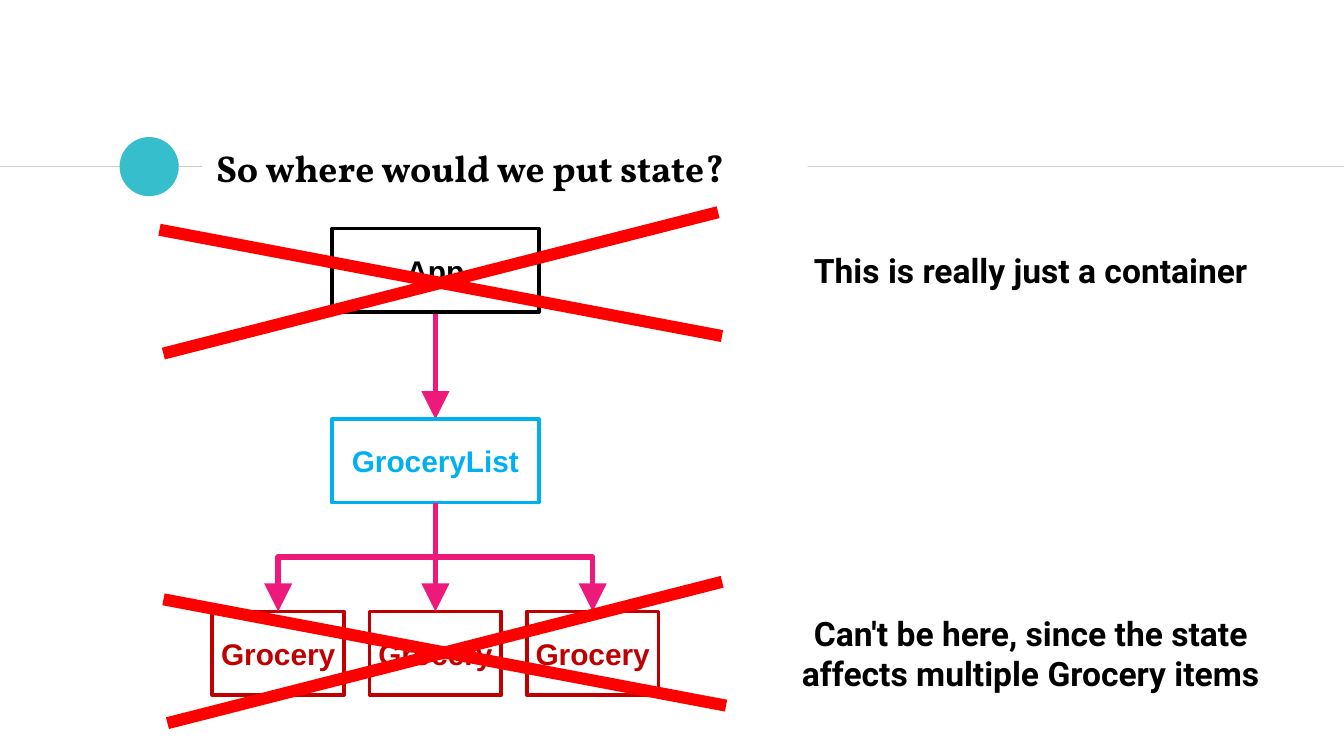
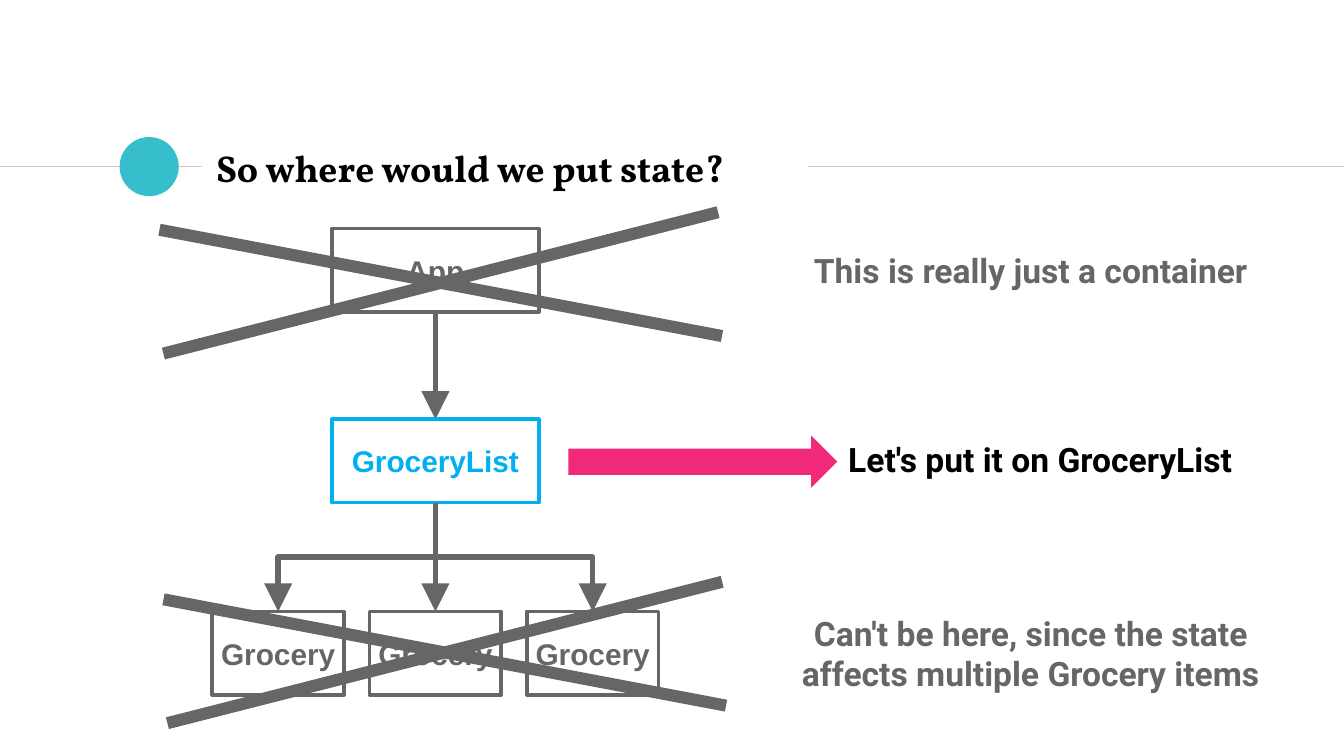
from dataclasses import dataclass

from lxml import etree
from pptx import Presentation
from pptx.dml.color import RGBColor
from pptx.enum.shapes import MSO_CONNECTOR as Link, MSO_SHAPE as Preset
from pptx.enum.text import MSO_ANCHOR as Anchor, PP_ALIGN as Align
from pptx.oxml.ns import qn
from pptx.util import Inches, Pt


@dataclass(frozen=True)
class Theme:
    ink: str = "000000"
    paper: str = "FFFFFF"
    rule: str = "CCCCCC"
    teal: str = "37BECC"
    blue: str = "00B0F0"
    dark_red: str = "C00000"
    red: str = "FF0000"
    pink: str = "ED197B"
    pointer: str = "F0297B"
    faded: str = "666666"
    title_font: str = "Vollkorn"
    note_font: str = "Roboto"
    node_font: str = "Arial"
    title_size: int = 20
    note_size: int = 18
    node_size: int = 16
    rule_width: float = 0.75
    node_width: float = 2
    branch_width: float = 3


THEME = Theme()


@dataclass(frozen=True)
class Box:
    left: float
    top: float
    width: float
    height: float

    @property
    def bottom(self) -> float:
        return self.top + self.height

    def lengths(self) -> tuple:
        return tuple(Inches(v) for v in (self.left, self.top, self.width, self.height))


@dataclass(frozen=True)
class Node:
    label: str
    box: Box
    color: str
    side_inset: float = 0


@dataclass(frozen=True)
class Note:
    text: str
    box: Box
    color: str


@dataclass(frozen=True)
class Palette:
    """Colours of the tree parts that change between the slides."""
    app: str
    grocery: str
    branch: str
    cross: str
    note: str


VIVID = Palette(THEME.ink, THEME.dark_red, THEME.pink, THEME.red, THEME.ink)
FADED = Palette(*[THEME.faded] * 5)

# Tree geometry
TRUNK_X = 3.24
GROCERY_PITCH = 1.17
NODE_HEIGHT = 0.62
APP_TOP, LIST_TOP, GROCERY_TOP = 1.7, 3.12, 4.55
CROSS_BARS = (Box(1.18, 4.81, 4.26, 0.09), Box(1.15, 2.06, 4.26, 0.09))
CROSS_ANGLES = (10.7, 345.7)


def rgb(color: str) -> RGBColor:
    return RGBColor.from_string(color)


def centered_box(center: float, top: float, width: float) -> Box:
    return Box(center - width / 2, top, width, NODE_HEIGHT)


def write(shape, text: str, font: str, size: float, color: str, align=Align.CENTER,
          anchor=Anchor.TOP, side: float = 0.1, end: float = 0.05) -> None:
    frame = shape.text_frame
    frame.word_wrap = True
    frame.vertical_anchor = anchor
    frame.margin_left = frame.margin_right = Inches(side)
    frame.margin_top = frame.margin_bottom = Inches(end)
    paragraph = frame.paragraphs[0]
    paragraph.alignment = align
    run = paragraph.add_run()
    run.text = text
    run.font.name = font
    run.font.size = Pt(size)
    run.font.bold = True
    run.font.color.rgb = rgb(color)


def add_solid(shapes, preset, box: Box, color: str, angle: float = 0):
    solid = shapes.add_shape(preset, *box.lengths())
    solid.shadow.inherit = False
    solid.fill.solid()
    solid.fill.fore_color.rgb = rgb(color)
    solid.line.fill.background()
    solid.rotation = angle
    return solid


def add_node(shapes, node: Node) -> None:
    outline = shapes.add_shape(Preset.RECTANGLE, *node.box.lengths())
    outline.shadow.inherit = False
    outline.fill.background()
    outline.line.color.rgb = rgb(node.color)
    outline.line.width = Pt(THEME.node_width)
    write(outline, node.label, THEME.node_font, THEME.node_size, node.color,
          anchor=Anchor.MIDDLE, side=node.side_inset)


def add_note(shapes, note: Note) -> None:
    write(shapes.add_textbox(*note.box.lengths()), note.text,
          THEME.note_font, THEME.note_size, note.color)


def add_line(shapes, kind, start: tuple, end: tuple, color: str, width: float,
             arrow: bool = False):
    line = shapes.add_connector(kind, *(Inches(v) for v in start + end))
    line.line.color.rgb = rgb(color)
    line.line.width = Pt(width)
    properties = line._element.spPr
    if arrow:
        etree.SubElement(properties.find(qn("a:ln")), qn("a:tailEnd"),
                         type="triangle", w="lg", len="lg")
    etree.SubElement(properties, qn("a:effectLst"))
    return line


def add_branch(shapes, top: float, bottom: float, end_x: float, color: str) -> None:
    """Arrow from the trunk at top to end_x at bottom, bent halfway if they differ."""
    if end_x == TRUNK_X:
        add_line(shapes, Link.STRAIGHT, (TRUNK_X, top), (end_x, bottom),
                 color, THEME.branch_width, arrow=True)
        return
    # The elbow preset starts sideways, so it is laid out flat and then turned
    drop, reach = bottom - top, abs(end_x - TRUNK_X)
    left = (TRUNK_X + end_x - drop) / 2
    upper = (top + bottom - reach) / 2
    elbow = add_line(shapes, Link.ELBOW, (left, upper), (left + drop, upper + reach),
                     color, THEME.branch_width, arrow=True)
    frame = elbow._element.spPr.find(qn("a:xfrm"))
    if end_x < TRUNK_X:
        frame.set("rot", str(90 * 60000))
    else:
        frame.set("rot", str(270 * 60000))
        frame.set("flipH", "1")


def add_header(shapes, title: str) -> None:
    for start, end in ((0, 1.5), (5.76, 10)):
        add_line(shapes, Link.STRAIGHT, (start, 1.24), (end, 1.24),
                 THEME.rule, THEME.rule_width)
    add_solid(shapes, Preset.OVAL, Box(0.89, 1.02, 0.44, 0.44), THEME.teal)
    plate = add_solid(shapes, Preset.RECTANGLE, Box(1.51, 1.01, 4.5, 0.48), THEME.paper)
    write(plate, title, THEME.title_font, THEME.title_size, THEME.ink,
          align=Align.LEFT, anchor=Anchor.MIDDLE, end=0.1)


def add_tree(shapes, palette: Palette) -> None:
    app = Node("App", centered_box(TRUNK_X, APP_TOP, 1.54), palette.app, 0.1)
    grocery_list = Node("GroceryList", centered_box(TRUNK_X, LIST_TOP, 1.54), THEME.blue)
    grocery_centers = [TRUNK_X + step * GROCERY_PITCH for step in (-1, 0, 1)]

    add_branch(shapes, app.box.bottom, LIST_TOP, TRUNK_X, palette.branch)
    add_node(shapes, app)
    grocery_row = shapes.add_group_shape().shapes
    for center in grocery_centers:
        add_node(grocery_row, Node("Grocery", centered_box(center, GROCERY_TOP, 0.98),
                                   palette.grocery))
    add_node(shapes, grocery_list)
    for center in grocery_centers:
        add_branch(shapes, grocery_list.box.bottom, GROCERY_TOP, center, palette.branch)


def add_rejections(shapes, palette: Palette) -> None:
    for bar in CROSS_BARS:
        for angle in CROSS_ANGLES:
            add_solid(shapes, Preset.RECTANGLE, bar, palette.cross, angle)
    add_note(shapes, Note("This is really just a container",
                          Box(5.65, 1.81, 4.04, 0.4), palette.note))
    add_note(shapes, Note("Can't be here, since the state affects multiple Grocery items",
                          Box(5.65, 4.51, 4.04, 0.71), palette.note))


def add_state_slide(deck, palette: Palette):
    shapes = deck.slides.add_slide(deck.slide_layouts[6]).shapes
    add_header(shapes, "So where would we put state?")
    add_tree(shapes, palette)
    add_rejections(shapes, palette)
    return shapes


def main() -> None:
    deck = Presentation()
    deck.slide_width = Inches(10)
    deck.slide_height = Inches(10 * 9 / 16)

    # Slide 1: places that are ruled out
    add_state_slide(deck, VIVID)

    # Slide 2: the place that remains
    answer = add_state_slide(deck, FADED)
    add_solid(answer, Preset.RIGHT_ARROW, Box(4.23, 3.24, 2, 0.39), THEME.pointer)
    add_note(answer, Note("Let's put it on GroceryList", Box(5.74, 3.22, 4, 0.4), THEME.ink))

    deck.save("out.pptx")


if __name__ == "__main__":
    main()
